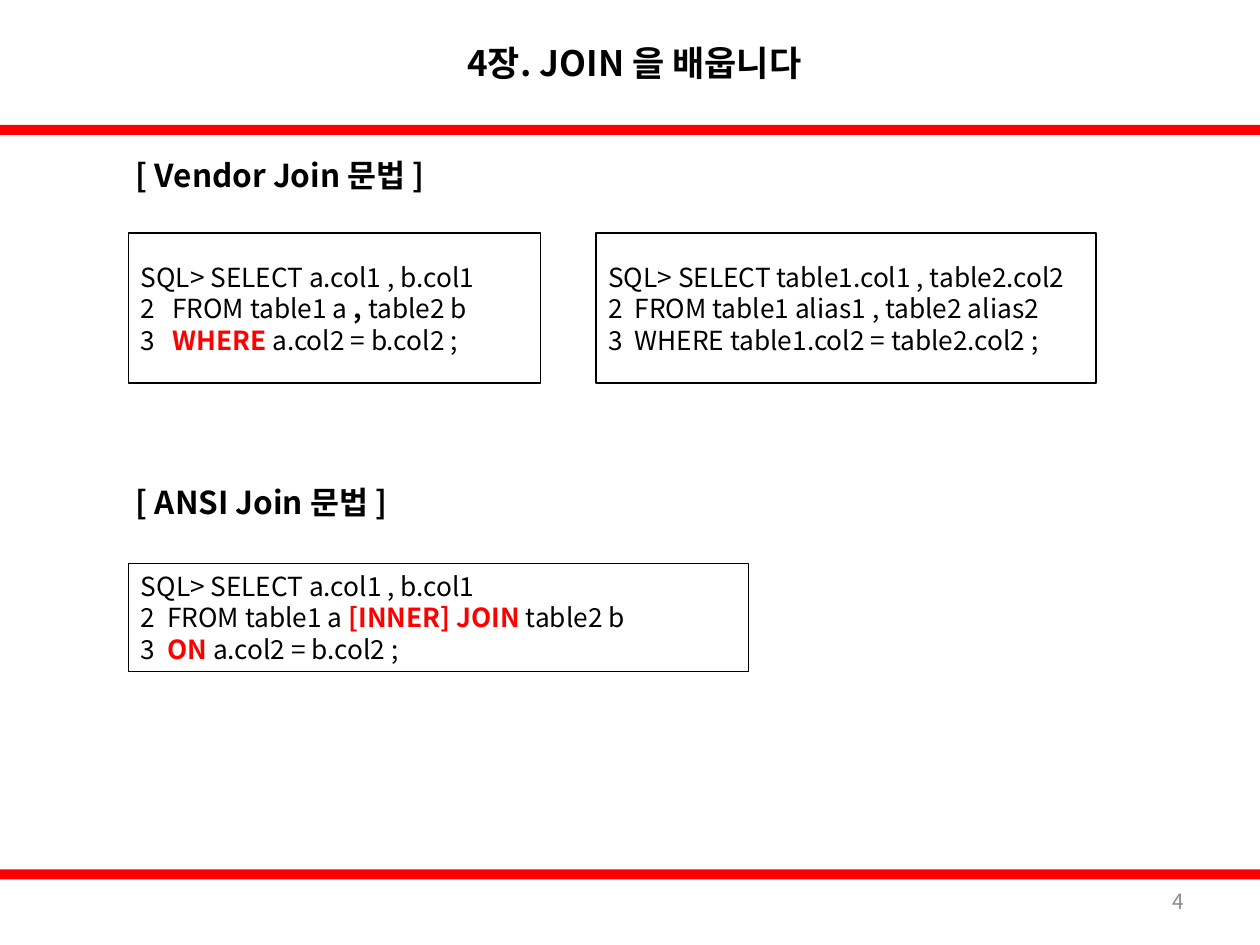
from lxml.etree import SubElement
from pptx import Presentation
from pptx.dml.color import RGBColor
from pptx.enum.shapes import MSO_SHAPE
from pptx.enum.text import MSO_ANCHOR, PP_ALIGN
from pptx.oxml.ns import qn
from pptx.util import Inches, Pt

COLORS = {"red": "FF0000", "black": "000000", "white": "FFFFFF", "gray": "8C8C8C"}
FONT = "Noto Sans CJK KR"
COLS, ROWS = 100, 75
CELL = Inches(0.1)
STYLES = {"plain": ("black", False), "bold": ("black", True), "key": ("red", True)}

HEADINGS = [
    ((9.8, 11.5, 34.6, 4.7), "[ Vendor Join 문법 ]"),
    ((9.8, 37.5, 34.6, 4.7), "[ ANSI Join 문법 ]"),
]
LISTINGS = [
    ((10.2, 18.5, 32.7, 11.9), 0.25, [
        [("SQL> SELECT a.col1 , b.col1", "plain")],
        [("2\tFROM table1 a", "plain"), (" ,", "bold"), (" table2 b", "plain")],
        [("3\t", "plain"), ("WHERE ", "key"), ("a.col2 = b.col2 ;", "plain")],
    ]),
    ((47.3, 18.5, 39.7, 11.9), 0.21, [
        [("SQL> SELECT table1.col1 , table2.col2", "plain")],
        [("2\tFROM table1 alias1 , table2 alias2", "plain")],
        [("3\tWHERE table1.col2 = table2.col2 ;", "plain")],
    ]),
    ((10.2, 44.7, 49.2, 8.6), 0.21, [
        [("SQL> SELECT a.col1 , b.col1", "plain")],
        [("2\tFROM table1 a ", "plain"), ("[INNER] JOIN ", "key"), ("table2 b", "plain")],
        [("3\t", "plain"), ("ON", "key"), (" a.col2 = b.col2 ;", "plain")],
    ]),
]


def rgb(name):
    """Return the named colour."""
    return RGBColor.from_string(COLORS[name])


def grid(box):
    """Convert a box in columns and rows to slide lengths."""
    return [round(n * CELL) for n in box]


def format_paragraph(p, size, color="black", bold=None, align=PP_ALIGN.LEFT):
    """Set the alignment and shared font of a paragraph."""
    p.alignment = align
    p.font.size = Pt(size)
    p.font.bold = bold
    p.font.color.rgb = rgb(color)
    p.font.name = FONT
    props = p._p.get_or_add_pPr().find(qn("a:defRPr"))
    SubElement(props, qn("a:ea")).set("typeface", FONT)


def add_rect(s, box, fill):
    """Add a plain filled rectangle without a line."""
    sp = s.shapes.add_shape(MSO_SHAPE.RECTANGLE, *grid(box))
    sp.shadow.inherit = False
    sp.fill.solid()
    sp.fill.fore_color.rgb = rgb(fill)
    sp.line.fill.background()
    return sp


def add_label(s, box, text, size, color="black", bold=None, align=PP_ALIGN.LEFT):
    """Add one line of text, centred vertically in its box."""
    tf = s.shapes.add_textbox(*grid(box)).text_frame
    tf.word_wrap = True
    tf.vertical_anchor = MSO_ANCHOR.MIDDLE
    p = tf.paragraphs[0]
    p.text = text
    format_paragraph(p, size, color, bold, align)


def add_listing(s, box, indent, lines):
    """Add a framed SQL listing with hanging line numbers."""
    sp = add_rect(s, box, "white")
    sp.line.color.rgb = rgb("black")
    sp.line.width = Pt(0.75)
    tf = sp.text_frame
    tf.word_wrap = True
    tf.vertical_anchor = MSO_ANCHOR.MIDDLE
    for i, line in enumerate(lines):
        p = tf.add_paragraph() if i else tf.paragraphs[0]
        format_paragraph(p, 15, align=PP_ALIGN.JUSTIFY)
        props = p._p.get_or_add_pPr()
        props.set("marL", str(Inches(indent)))
        props.set("indent", str(-Inches(indent)))
        for text, style in line:
            color, bold = STYLES[style]
            r = p.add_run()
            r.text = text
            r.font.bold = bold
            r.font.color.rgb = rgb(color)


def add_frame(s, title, number):
    """Add the two bars, the title and the slide number."""
    for row in (9.9, 69):
        add_rect(s, (0, row, COLS, 0.8), "red")
    add_label(s, (16.9, 0, 66.9, 9.9), title, 20, bold=True, align=PP_ALIGN.CENTER)
    add_label(s, (71.7, 69.5, 23.3, 4), number, 12, "gray", align=PP_ALIGN.RIGHT)


def main():
    """Build and save the slide."""
    prs = Presentation()
    prs.slide_width, prs.slide_height = COLS * CELL, ROWS * CELL
    s = prs.slides.add_slide(prs.slide_layouts[6])
    add_frame(s, "4장. JOIN 을 배웁니다", "4")
    for box, text in HEADINGS:
        add_label(s, box, text, 18, bold=True)
    for box, indent, lines in LISTINGS:
        add_listing(s, box, indent, lines)
    prs.save("out.pptx")


if __name__ == "__main__":
    main()
